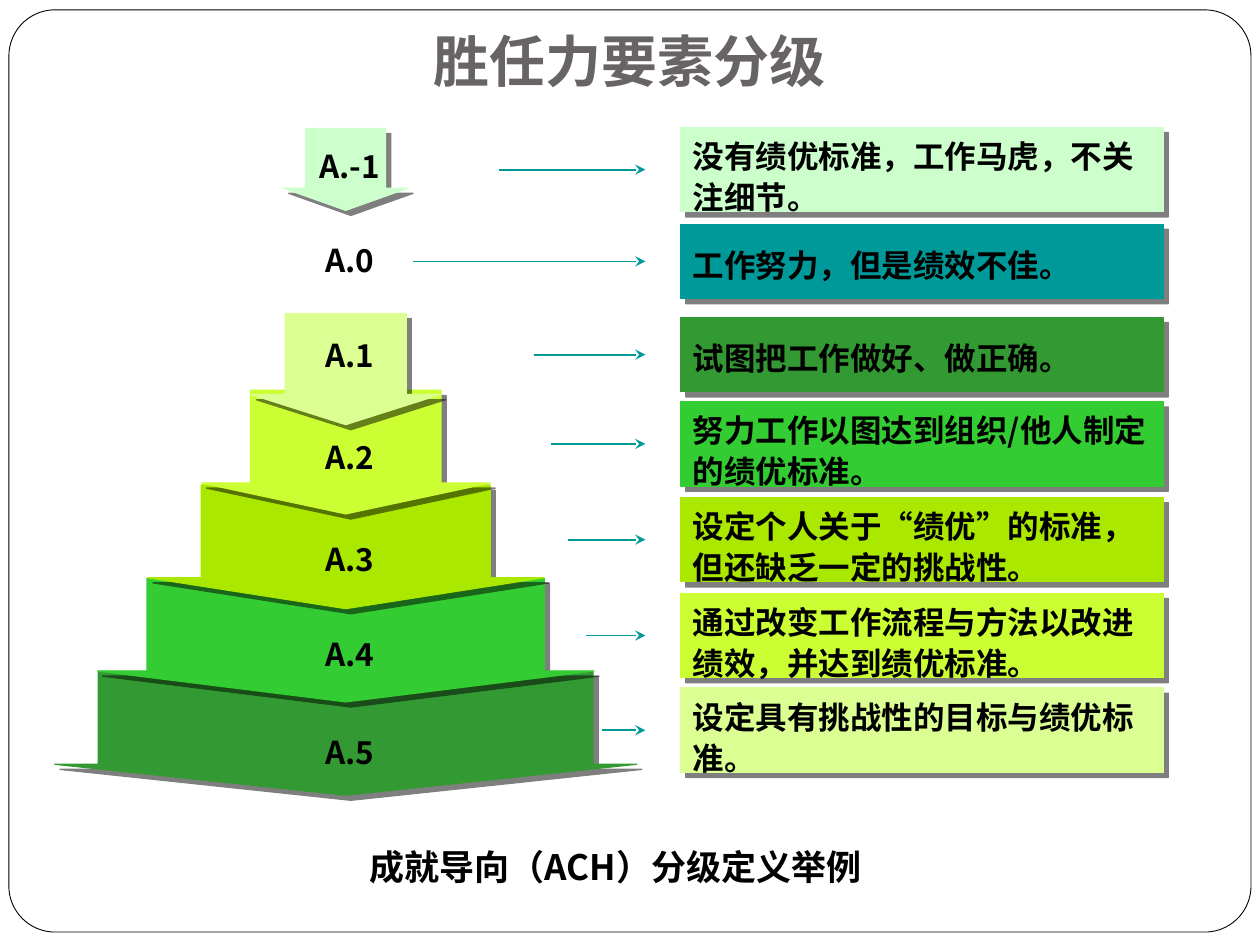
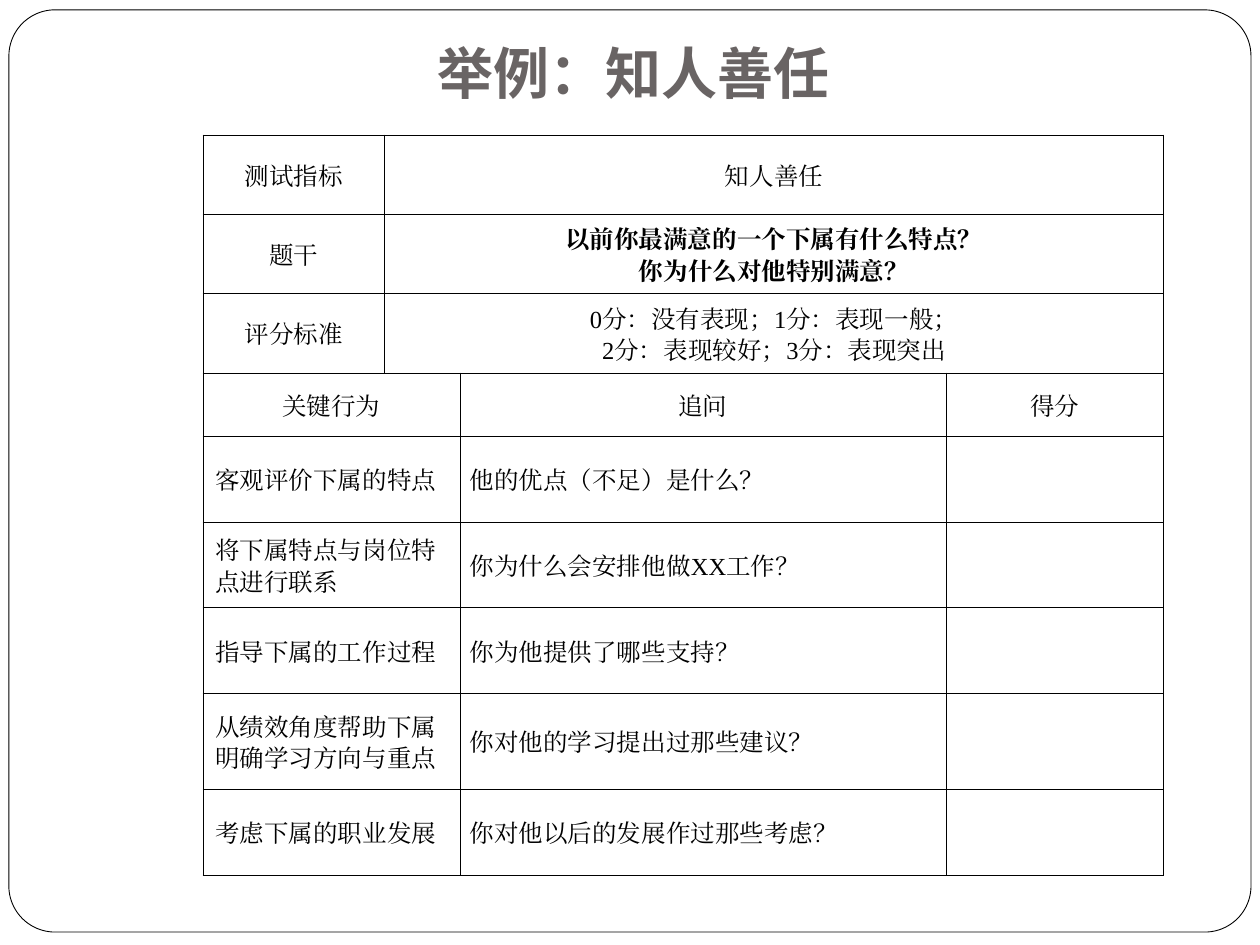
import pptx
import pptx.dml.color
import pptx.enum.shapes
import pptx.enum.text
import pptx.oxml
import pptx.oxml.ns
import pptx.util
from lxml import etree

Cm = pptx.util.Cm
Pt = pptx.util.Pt
RGBColor = pptx.dml.color.RGBColor
Shape = pptx.enum.shapes.MSO_SHAPE
Align = pptx.enum.text.PP_ALIGN
Anchor = pptx.enum.text.MSO_ANCHOR
qn = pptx.oxml.ns.qn

BLACK = RGBColor(0x00, 0x00, 0x00)
WHITE = RGBColor(0xFF, 0xFF, 0xFF)
TITLE_GREY = RGBColor(0x69, 0x64, 0x64)
TEAL = RGBColor(0x00, 0x99, 0x99)
MINT = RGBColor(0xCC, 0xFF, 0xCC)
PALE_LIME = RGBColor(0xDB, 0xFF, 0x93)
YELLOW_LIME = RGBColor(0xCC, 0xFF, 0x33)
LIME = RGBColor(0xAB, 0xE8, 0x00)
GREEN = RGBColor(0x33, 0xCC, 0x33)
DARK_GREEN = RGBColor(0x33, 0x99, 0x33)

TITLE_FONT = "Roboto"
BODY_FONT = "Noto Sans CJK SC"
TABLE_FONT = "Times New Roman"

PYRAMID_CENTRE = 6.97
LABEL_CENTRE = 7.05
BAR_LEFT, BAR_WIDTH = 13.72, 9.73
POINTER_END = 13.01

# colour, (top, width, height, shaft share, head share)
PYRAMID = [
    (MINT, (2.59, 2.51, 1.65, 0.64, 0.27)),
    (DARK_GREEN, (13.54, 11.73, 2.49, 0.85, 0.25)),
    (GREEN, (11.66, 10.01, 2.49, 0.8, 0.25)),
    (LIME, (9.78, 7.98, 2.49, 0.73, 0.25)),
    (YELLOW_LIME, (7.87, 5.82, 2.49, 0.66, 0.25)),
    (PALE_LIME, (6.32, 3.81, 2.24, 0.64, 0.27)),
]

# label, label top, pointer start, bar top, bar colour, lines, definition
LEVELS = [
    ("A.-1", 2.82, 10.06, 2.57, MINT, 2, "没有绩优标准，工作马虎，不关注细节。"),
    ("A.0", 4.72, 8.33, 4.52, TEAL, 1, "工作努力，但是绩效不佳。"),
    ("A.1", 6.63, 10.77, 6.4, DARK_GREEN, 1, "试图把工作做好、做正确。"),
    ("A.2", 8.69, 11.1, 8.1, GREEN, 2, "努力工作以图达到组织/他人制定的绩优标准。"),
    ("A.3", 10.74, 11.46, 10.03, LIME, 2, "设定个人关于“绩优”的标准，但还缺乏一定的挑战性。"),
    ("A.4", 12.67, 11.81, 11.96, YELLOW_LIME, 2, "通过改变工作流程与方法以改进绩效，并达到绩优标准。"),
    ("A.5", 14.63, 12.14, 13.87, PALE_LIME, 2, "设定具有挑战性的目标与绩优标准。"),
]

COLUMN_WIDTHS = [3.66, 1.52, 9.8, 4.39]
ROW_HEIGHTS = [1.6, 1.6, 1.6, 1.27, 1.73, 1.73, 1.73, 1.93, 1.73]
SUMMARY_ROWS = [
    ("测试指标", "知人善任"),
    ("题干", "以前你最满意的一个下属有什么特点？\n你为什么对他特别满意？"),
    ("评分标准", "0分：没有表现；1分：表现一般；\n2分：表现较好；3分：表现突出"),
]
BEHAVIOUR_ROWS = [
    ("关键行为", "追问", "得分"),
    ("客观评价下属的特点", "他的优点（不足）是什么？", ""),
    ("将下属特点与岗位特点进行联系", "你为什么会安排他做XX工作？", ""),
    ("指导下属的工作过程", "你为他提供了哪些支持？", ""),
    ("从绩效角度帮助下属明确学习方向与重点", "你对他的学习提出过那些建议？", ""),
    ("考虑下属的职业发展", "你对他以后的发展作过那些考虑？", ""),
]


def set_font(span, name):
    """Use one font for Latin and East Asian letters alike."""
    span.font.name = name
    properties = span.font._element if hasattr(span.font, "_element") else span._r.get_or_add_rPr()
    east_asian = properties.find(qn("a:ea"))
    if east_asian is None:
        east_asian = etree.Element(qn("a:ea"))
        properties.find(qn("a:latin")).addnext(east_asian)
    east_asian.set("typeface", name)


def style_text(frame, size, font, color=BLACK, bold=True, align=Align.LEFT, spacing=None):
    for para in frame.paragraphs:
        para.alignment = align
        if spacing:
            para.line_spacing = Pt(spacing)
        for span in para.runs:
            span.font.size = Pt(size)
            span.font.bold = bold
            span.font.color.rgb = color
            set_font(span, font)


def add_text(page, text, left, top, width, height, size, font=BODY_FONT, **style):
    box = page.shapes.add_textbox(Cm(left), Cm(top), Cm(width), Cm(height))
    box.text_frame.word_wrap = True
    box.text_frame.text = text
    style_text(box.text_frame, size, font, **style)
    return box


def add_shadowed(page, kind, left, top, width, height, color):
    """Add a plain shape with a hard, half-transparent shadow to the lower right."""
    shape = page.shapes.add_shape(kind, Cm(left), Cm(top), Cm(width), Cm(height))
    shape.fill.solid()
    shape.fill.fore_color.rgb = color
    shape.line.color.rgb = color
    shape.line.width = Pt(0.75)
    shape.shadow.inherit = False
    effects = shape._element.spPr.find(qn("a:effectLst"))
    shadow = etree.SubElement(effects, qn("a:outerShdw"), blurRad="0", dist=str(Pt(4.2)),
                              dir="2700000", algn="tl", rotWithShape="0")
    tint = etree.SubElement(shadow, qn("a:srgbClr"), val="000000")
    etree.SubElement(tint, qn("a:alpha"), val="50000")
    return shape


def add_pointer(page, start, end, height):
    pointer = page.shapes.add_connector(pptx.enum.shapes.MSO_CONNECTOR.STRAIGHT,
                                        Cm(start), Cm(height), Cm(end), Cm(height))
    pointer.line.color.rgb = TEAL
    pointer.line.width = Pt(1)
    etree.SubElement(pointer.line._get_or_add_ln(), qn("a:tailEnd"), type="stealth")
    etree.SubElement(pointer._element.spPr, qn("a:effectLst"))


def add_page(deck, title, title_left, title_top):
    """Add a blank slide with the rounded frame and the title."""
    page = deck.slides.add_slide(deck.slide_layouts[6])
    frame = page.shapes.add_shape(Shape.ROUNDED_RECTANGLE, Cm(0.18), Cm(0.2), Cm(25.04), Cm(18.59))
    frame.adjustments[0] = 0.05
    frame.fill.solid()
    frame.fill.fore_color.rgb = WHITE
    frame.line.color.rgb = BLACK
    frame.line.width = Pt(0.5)
    frame.shadow.inherit = False
    box = add_text(page, title, title_left, title_top, 18.8, 1.4, 32, TITLE_FONT,
                   color=TITLE_GREY, align=Align.CENTER)
    box.text_frame.vertical_anchor = Anchor.BOTTOM
    box.text_frame.margin_bottom = Cm(0.25)
    return page


def add_pyramid(page):
    for color, (top, width, height, shaft, head) in PYRAMID:
        arrow = add_shadowed(page, Shape.DOWN_ARROW, PYRAMID_CENTRE - width / 2, top,
                             width, height, color)
        arrow.adjustments[0] = shaft
        arrow.adjustments[1] = head


def add_level(page, label, label_top, pointer_start, bar_top, color, lines, definition):
    bar_height, text_offset, text_height = (1.7, 0, 1.93) if lines == 2 else (1.5, 0.25, 1.09)
    add_text(page, label, LABEL_CENTRE - 1.22, label_top, 2.44, 1.02, 18,
             align=Align.CENTER, spacing=22)
    add_pointer(page, pointer_start, POINTER_END, bar_top + bar_height / 2)
    add_shadowed(page, Shape.RECTANGLE, BAR_LEFT, bar_top, BAR_WIDTH, bar_height, color)
    add_text(page, definition, BAR_LEFT, bar_top + text_offset, BAR_WIDTH, text_height, 18,
             spacing=23.5)


def set_borders(cell):
    properties = cell._tc.get_or_add_tcPr()
    for position, side in enumerate(("a:lnL", "a:lnR", "a:lnT", "a:lnB")):
        line = etree.Element(qn(side), w=str(Pt(0.45)))
        fill = etree.SubElement(line, qn("a:solidFill"))
        etree.SubElement(fill, qn("a:srgbClr"), val=str(BLACK))
        properties.insert(position, line)


def fill_cell(cell, text, align=Align.CENTER, bold=False, margin=0.2):
    cell.text_frame.text = text
    cell.vertical_anchor = Anchor.MIDDLE
    cell.margin_left = cell.margin_right = Cm(margin)
    style_text(cell.text_frame, 14, TABLE_FONT, bold=bold, align=align, spacing=18)


def add_interview_table(page):
    table = page.shapes.add_table(len(ROW_HEIGHTS), len(COLUMN_WIDTHS), Cm(4.09), Cm(2.72),
                                  Cm(sum(COLUMN_WIDTHS)), Cm(sum(ROW_HEIGHTS))).table
    table.first_row = table.horz_banding = False
    for column, width in zip(table.columns, COLUMN_WIDTHS):
        column.width = Cm(width)
    for row, height in zip(table.rows, ROW_HEIGHTS):
        row.height = Cm(height)
    for cell in table.iter_cells():
        cell.fill.background()
        set_borders(cell)
    for index, (name, content) in enumerate(SUMMARY_ROWS):
        table.cell(index, 1).merge(table.cell(index, 3))
        fill_cell(table.cell(index, 0), name)
        fill_cell(table.cell(index, 1), content, bold=name == "题干")
    for index, (behaviour, question, score) in enumerate(BEHAVIOUR_ROWS, len(SUMMARY_ROWS)):
        align = Align.CENTER if score else Align.LEFT
        table.cell(index, 0).merge(table.cell(index, 1))
        fill_cell(table.cell(index, 0), behaviour, align, margin=0.25)
        fill_cell(table.cell(index, 2), question, align)
        fill_cell(table.cell(index, 3), score, align)


def main():
    deck = pptx.Presentation()
    deck.slide_width, deck.slide_height = Cm(25.4), Cm(19.05)

    page = add_page(deck, "胜任力要素分级", 3.3, 0.74)
    add_pyramid(page)
    for level in LEVELS:
        add_level(page, *level)
    add_text(page, "成就导向（ACH）分级定义举例", 5.11, 16.84, 14.6, 1.12, 20,
             align=Align.CENTER, spacing=26)

    page = add_page(deck, "举例：知人善任", 3.38, 0.99)
    add_interview_table(page)
    deck.save("out.pptx")


if __name__ == "__main__":
    main()
